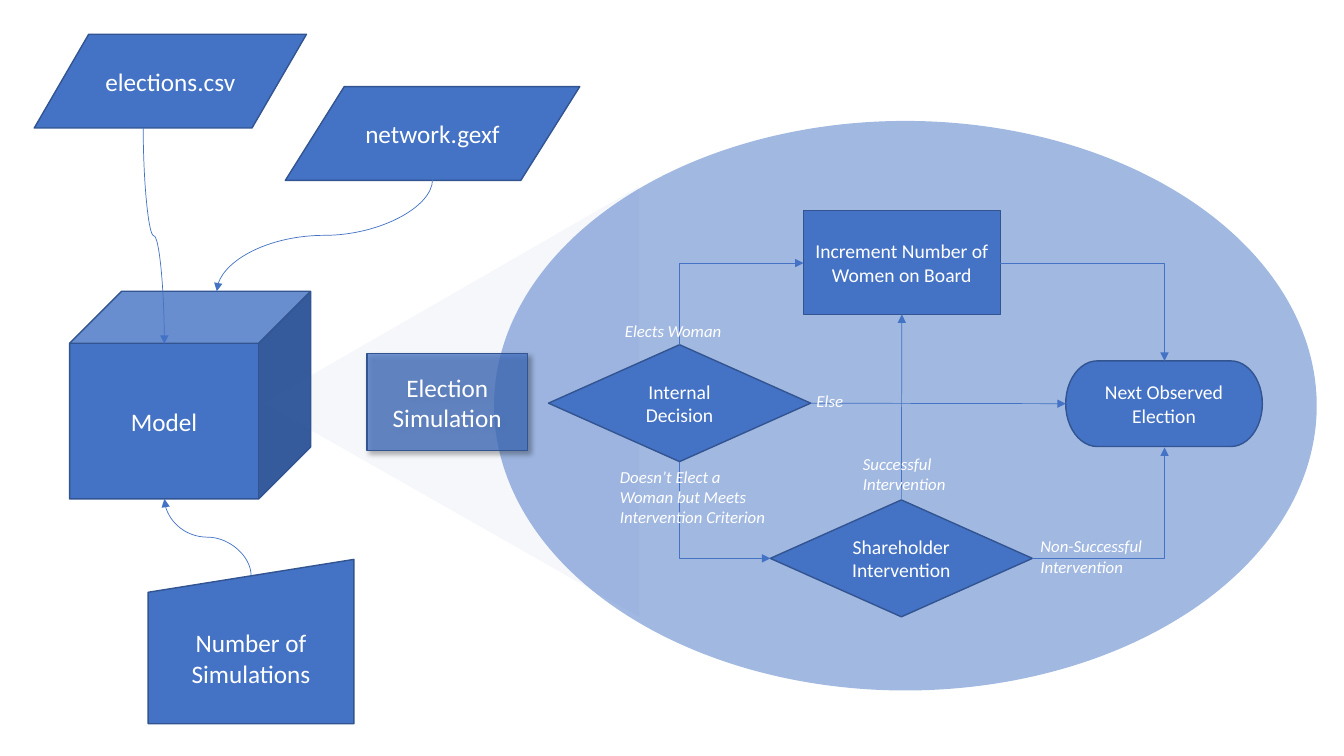
from dataclasses import dataclass
from typing import Optional

from lxml.etree import SubElement
from pptx import Presentation
from pptx.dml.color import RGBColor
from pptx.enum.shapes import MSO_CONNECTOR, MSO_SHAPE
from pptx.enum.text import MSO_ANCHOR, PP_ALIGN
from pptx.oxml.ns import qn
from pptx.util import Inches, Pt

BLUE = RGBColor(0x44, 0x72, 0xC4)
NAVY = RGBColor(0x32, 0x54, 0x91)
WHITE = RGBColor(0xFF, 0xFF, 0xFF)
FONT = "Calibri"


@dataclass
class Node:
    kind: MSO_SHAPE
    left: float
    top: float
    width: float
    height: float
    text: str = ""
    size: int = 14
    opacity: int = 100
    adjust: Optional[float] = None
    rotation: int = 0


@dataclass
class Arrow:
    kind: MSO_CONNECTOR
    x1: float
    y1: float
    x2: float
    y2: float
    vertical_start: bool = True


@dataclass
class Label:
    left: float
    top: float
    height: float
    lines: tuple[str, ...]


ELBOW, CURVE = MSO_CONNECTOR.ELBOW, MSO_CONNECTOR.CURVE

INPUTS = [
    Node(MSO_SHAPE.FLOWCHART_DATA, 0.34, 0.34, 2.7, 0.93, "elections.csv", 18),
    Node(MSO_SHAPE.FLOWCHART_DATA, 2.83, 0.86, 2.92, 0.93, "network.gexf", 18),
    Node(MSO_SHAPE.CUBE, 0.69, 2.89, 2.39, 2.06, "Model", 18),
    Node(MSO_SHAPE.FLOWCHART_MANUAL_INPUT, 1.47, 5.55, 2.04, 1.63,
         "Number of Simulations", 18),
]
INPUT_ARROWS = [
    Arrow(CURVE, 4.29, 1.78, 2.15, 2.89),
    Arrow(CURVE, 1.42, 1.27, 1.63, 3.41),
    Arrow(CURVE, 2.49, 5.71, 1.63, 4.95),
]
ZOOM = [
    Node(MSO_SHAPE.ISOSCELES_TRIANGLE, 2.34, 2.12, 4.27, 3.73,
         opacity=5, adjust=0.497, rotation=270),
    Node(MSO_SHAPE.OVAL, 4.9, 1.2, 8.16, 5.65, opacity=50),
]
DECISION = Node(MSO_SHAPE.FLOWCHART_DECISION, 5.44, 3.42, 2.6, 1.16, "Internal Decision")
INCREMENT = Node(MSO_SHAPE.ROUNDED_RECTANGLE, 7.97, 2.09, 1.95, 1.03,
                 "Increment Number of Women on Board", adjust=0)
NEXT = Node(MSO_SHAPE.FLOWCHART_TERMINATOR, 10.57, 3.58, 1.95, 0.85, "Next Observed Election")
SHAREHOLDER = Node(MSO_SHAPE.FLOWCHART_DECISION, 7.64, 4.96, 2.6, 1.16,
                   "Shareholder Intervention")
STEP_ARROWS = [
    Arrow(ELBOW, 6.74, 3.42, 7.97, 2.61),
    Arrow(ELBOW, 6.74, 4.58, 7.64, 5.54),
    Arrow(ELBOW, 9.92, 2.61, 11.55, 3.58, False),
    Arrow(ELBOW, 10.24, 5.54, 11.55, 4.44, False),
]
LABELS = [
    Label(6.1, 3.13, 0.3, ("Elects Woman",)),
    Label(6.05, 4.58, 0.71, ("Doesn’t Elect a Woman but Meets Intervention Criterion",)),
    Label(8, 3.83, 0.3, ("Else",)),
    Label(8.46, 4.45, 0.5, ("Successful Intervention",)),
    Label(10.22, 5.27, 0.5, ("Non-Successful", "Intervention")),
]
ELECTION = Node(MSO_SHAPE.RECTANGLE, 3.64, 3.51, 1.59, 0.96,
                "Election Simulation", 18, opacity=73)


def add_run(p, text: str, size: int, italic: bool = False) -> None:
    r = p.add_run()
    r.text = text
    r.font.name = FONT
    r.font.size = Pt(size)
    r.font.italic = italic
    r.font.color.rgb = WHITE


def set_alpha(color, percent: int) -> None:
    SubElement(color, qn("a:alpha")).set("val", str(percent * 1000))


def add_node(shapes, node: Node):
    sp = shapes.add_shape(node.kind, Inches(node.left), Inches(node.top),
                          Inches(node.width), Inches(node.height))
    sp.rotation = node.rotation
    sp.shadow.inherit = False
    if node.adjust is not None:
        sp.adjustments[0] = node.adjust
    sp.fill.solid()
    sp.fill.fore_color.rgb = BLUE
    if node.opacity < 100:
        set_alpha(sp._element.spPr.find(qn("a:solidFill"))[0], node.opacity)
    if node.text:
        sp.line.color.rgb = NAVY
        sp.line.width = Pt(1)
        tf = sp.text_frame
        tf.word_wrap = True
        tf.vertical_anchor = MSO_ANCHOR.MIDDLE
        p = tf.paragraphs[0]
        p.alignment = PP_ALIGN.CENTER
        add_run(p, node.text, node.size)
    else:
        sp.line.fill.background()
    return sp


def style_arrow(cxn) -> None:
    cxn.line.color.rgb = BLUE
    cxn.line.width = Pt(0.5)
    SubElement(cxn.line._get_or_add_ln(), qn("a:tailEnd")).set("type", "triangle")
    SubElement(cxn._element.spPr, qn("a:effectLst"))


def add_arrow(shapes, arrow: Arrow) -> None:
    x1, y1, x2, y2 = arrow.x1, arrow.y1, arrow.x2, arrow.y2
    rightward, upward = x2 > x1, y2 < y1
    if arrow.vertical_start:
        cx, cy = (x1 + x2) / 2, (y1 + y2) / 2
        dx = abs(y2 - y1) / 2 * (1 if rightward else -1)
        dy = abs(x2 - x1) / 2 * (1 if upward else -1)
        x1, y1, x2, y2 = cx + dx, cy + dy, cx - dx, cy - dy
    cxn = shapes.add_connector(arrow.kind, Inches(x1), Inches(y1), Inches(x2), Inches(y2))
    spPr = cxn._element.spPr
    if arrow.vertical_start:
        angle = 90 if rightward == upward else 270
        spPr.find(qn("a:xfrm")).set("rot", str(angle * 60000))
    if arrow.kind == ELBOW:
        spPr.find(qn("a:prstGeom")).set("prst", "bentConnector2")
    style_arrow(cxn)


def join(shapes, begin, begin_site: int, end, end_site: int) -> None:
    cxn = shapes.add_connector(MSO_CONNECTOR.STRAIGHT, 0, 0, 0, 0)
    cxn.begin_connect(begin, begin_site)
    cxn.end_connect(end, end_site)
    style_arrow(cxn)


def add_label(shapes, label: Label) -> None:
    tf = shapes.add_textbox(Inches(label.left), Inches(label.top),
                            Inches(1.67), Inches(label.height)).text_frame
    tf.word_wrap = True
    for i, line in enumerate(label.lines):
        p = tf.add_paragraph() if i else tf.paragraphs[0]
        add_run(p, line, 12, italic=True)


def add_shadow(sp) -> None:
    effects = sp._element.spPr.find(qn("a:effectLst"))
    shadow = SubElement(effects, qn("a:outerShdw"), blurRad=str(Pt(4)), dist=str(Pt(3)),
                        dir=str(45 * 60000), algn="tl", rotWithShape="0")
    set_alpha(SubElement(shadow, qn("a:srgbClr"), val="000000"), 40)


def main() -> None:
    prs = Presentation()
    prs.slide_width, prs.slide_height = Inches(13.33), Inches(7.5)
    s = prs.slides.add_slide(prs.slide_layouts[6])
    for node in INPUTS:
        add_node(s.shapes, node)
    for arrow in INPUT_ARROWS:
        add_arrow(s.shapes, arrow)
    for node in ZOOM:
        add_node(s.shapes, node)
    decision, increment, next_election, shareholder = (
        add_node(s.shapes, node) for node in (DECISION, INCREMENT, NEXT, SHAREHOLDER))
    for arrow in STEP_ARROWS:
        add_arrow(s.shapes, arrow)
    join(s.shapes, decision, 3, next_election, 1)
    join(s.shapes, shareholder, 0, increment, 2)
    for label in LABELS:
        add_label(s.shapes, label)
    add_shadow(add_node(s.shapes, ELECTION))
    prs.save("out.pptx")


if __name__ == "__main__":
    main()
